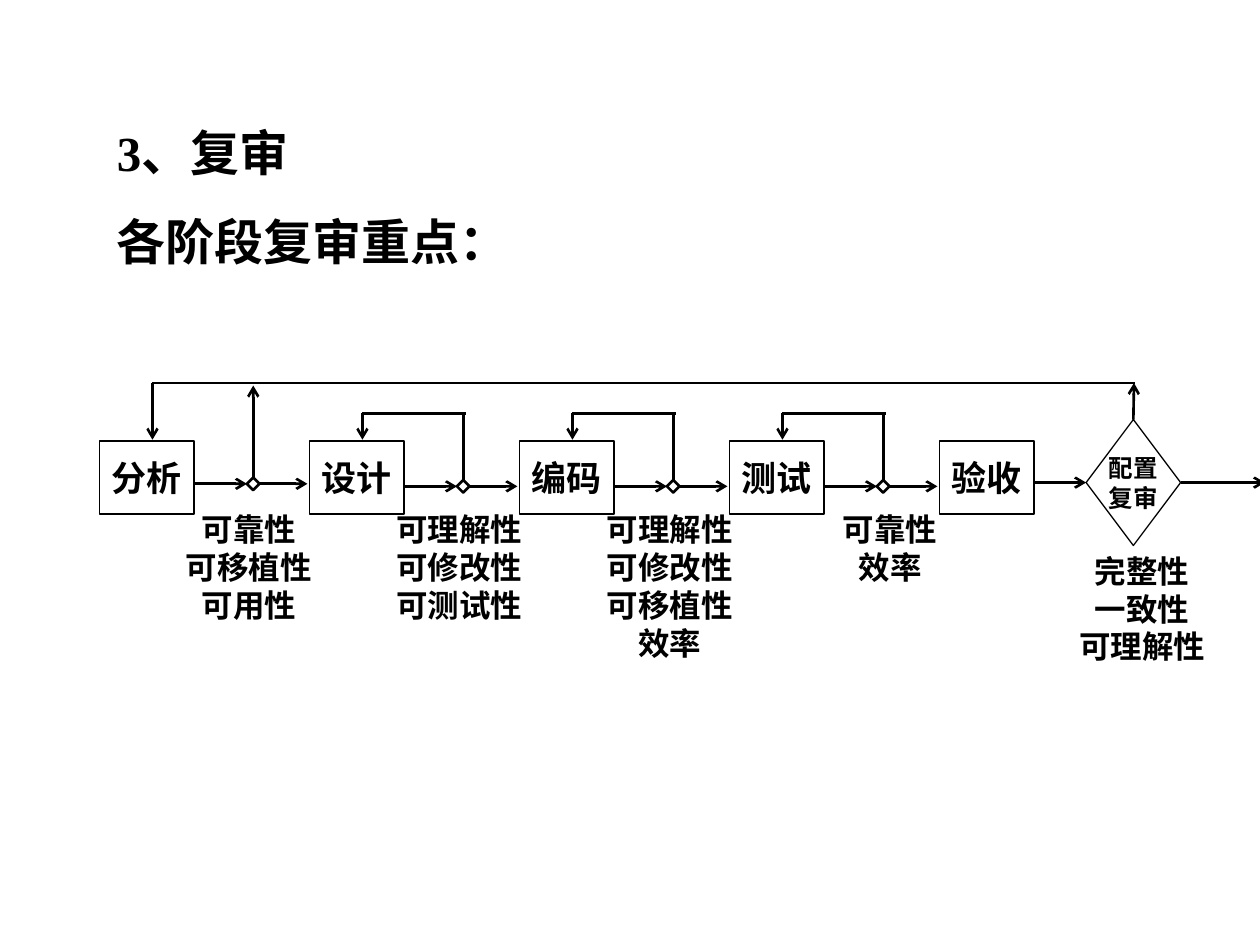
import pptx
import pptx.util
import pptx.dml.color
import pptx.enum.shapes
import pptx.enum.text
import pptx.oxml.ns
import lxml.etree

Inches = pptx.util.Inches
Pt = pptx.util.Pt
KIND = pptx.enum.shapes.MSO_SHAPE
ALIGN = pptx.enum.text.PP_ALIGN
ANCHOR = pptx.enum.text.MSO_ANCHOR
BLACK = pptx.dml.color.RGBColor(0, 0, 0)
STEP = 5 / 3
TOP, LEFT, RIGHT = 0, 1, 3

deck = pptx.Presentation()
deck.slide_width, deck.slide_height = Inches(10), Inches(7.5)
shapes = deck.slides.add_slide(deck.slide_layouts[6]).shapes


def write(shape, lines, size, align, side, anchor, wrap, gap=0):
    """Fill a shape with one paragraph per line; side is the left and right inset."""
    frame = shape.text_frame
    form = {"word_wrap": wrap, "vertical_anchor": anchor,
            "margin_left": Inches(side), "margin_right": Inches(side),
            "margin_top": Inches(0.05), "margin_bottom": Inches(0.05)}
    for key, value in form.items():
        setattr(frame, key, value)
    frame.text = "\n".join(lines)
    face = {"name": "Times New Roman", "size": Pt(size), "bold": True}
    for row, par in enumerate(frame.paragraphs):
        par.alignment = align
        if row and gap:
            par.space_before = Pt(gap)
        for key, value in face.items():
            setattr(par.font, key, value)
        par.font.color.rgb = BLACK


def draw(start, end, arrow=True, source=None, target=None):
    """Draw a line; source and target are (shape, side) pairs to join."""
    line = shapes.add_connector(pptx.enum.shapes.MSO_CONNECTOR.STRAIGHT,
                                *[Inches(n) for n in (*start, *end)])
    line.line.color.rgb = BLACK
    line.line.width = Pt(1.5)
    if source:
        line.begin_connect(*source)
    if target:
        line.end_connect(*target)
    if arrow:
        lxml.etree.SubElement(line.line._get_or_add_ln(),
                              pptx.oxml.ns.qn("a:tailEnd"), type="arrow")
    props = line._element.spPr
    lxml.etree.SubElement(props, pptx.oxml.ns.qn("a:effectLst"))


# Stages, gates and the final review
stages = ["分析", "设计", "编码", "测试", "验收"]
nodes = [(KIND.RECTANGLE, 0.79 + i * STEP, 3.5, 0.75, 0.58, 0.75, [name], 20)
         for i, name in enumerate(stages)]
nodes.append((KIND.DIAMOND, 8.62, 3.33, 0.75, 1, 0.75, ["配置", "复审"], 14))
for i in range(4):
    nodes.append((KIND.DIAMOND, 1.96 + i * STEP, 3.81 if i else 3.79,
                  0.1, 0.1, 1.5, [], 0))

made = []
for kind, x, y, wide, high, width, lines, size in nodes:
    node = shapes.add_shape(kind, Inches(x), Inches(y), Inches(wide), Inches(high))
    node.shadow.inherit = False
    node.fill.background()
    node.line.color.rgb = BLACK
    node.line.width = Pt(width)
    if lines:
        write(node, lines, size, ALIGN.CENTER, 0.1, ANCHOR.MIDDLE, False)
    made.append(node)
review, gates = made[5], made[6:]

# Flow through each gate, with its loop back
for i, gate in enumerate(gates):
    x = i * STEP
    y = 3.86 if i else 3.84
    draw((1.54 + x, y), (1.96 + x, y), target=(gate, LEFT))
    draw((2.06 + x, y), (2.44 + x, y), source=(gate, RIGHT))
    rise = 3.28 if i else 3.06
    draw((2.01 + x, y - 0.05), (2.01 + x, rise), arrow=not i, source=(gate, TOP))
    if i:
        draw((1.21 + x, rise), (2.03 + x, rise), arrow=False)
        draw((1.21 + x, rise), (1.21 + x, 3.49))

# Final review and the long way back to the first stage
draw((8.21, 3.83), (8.62, 3.83), target=(review, LEFT))
draw((9.37, 3.83), (10.04, 3.83), source=(review, RIGHT))
draw((9, 3.33), (9, 3.04), source=(review, TOP))
draw((1.21, 3.04), (9.01, 3.04), arrow=False)
draw((1.21, 3.04), (1.21, 3.49))

# Review points under the gates, and the heading
points = [
    (1.37, 4, ["可靠性", "可移植性", "可用性"]),
    (3.04, 4, ["可理解性", "可修改性", "可测试性"]),
    (4.71, 4, ["可理解性", "可修改性", "可移植性", "效率"]),
    (6.46, 4, ["可靠性", "效率"]),
    (8.46, 4.33, ["完整性", "一致性", "可理解性"]),
]
for x, y, lines in points:
    box = shapes.add_textbox(Inches(x), Inches(y), Inches(1.21),
                             Inches(0.1 + 0.3 * len(lines)))
    write(box, lines, 18, ALIGN.CENTER, 0, ANCHOR.TOP, True)

head = shapes.add_textbox(Inches(0.83), Inches(0.92), Inches(4.08), Inches(1.28))
write(head, ["3、复审", "各阶段复审重点："], 28, ALIGN.LEFT, 0.1, ANCHOR.TOP, True, 17.5)

deck.save("out.pptx")
